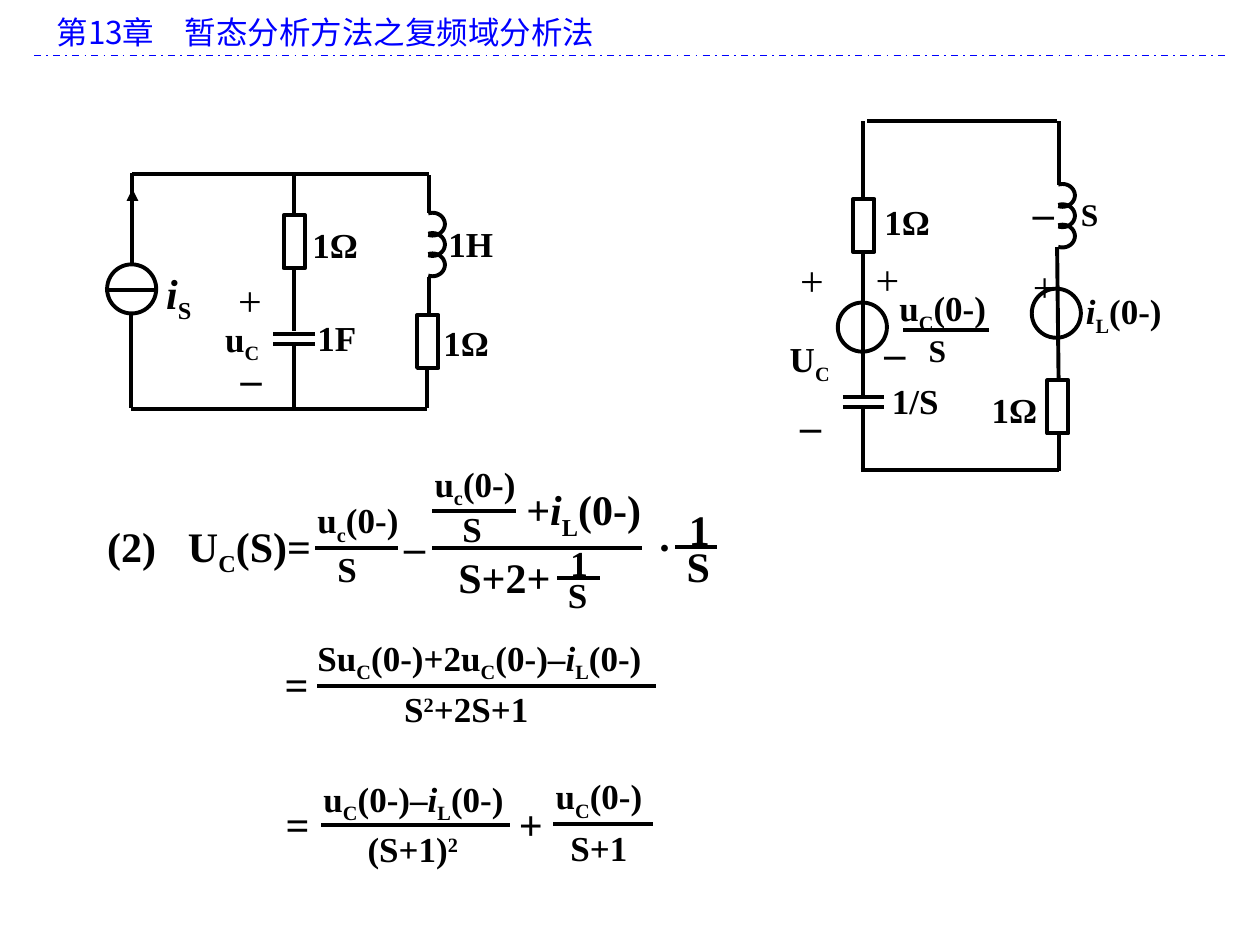
"""Build a slide of two circuits and the solution for the capacitor voltage."""
from dataclasses import dataclass
from math import cos, radians, sin

from lxml import etree
from pptx import Presentation
from pptx.dml.color import RGBColor
from pptx.enum import dml, shapes, text
from pptx.oxml import ns
from pptx.util import Cm, Pt


@dataclass(frozen=True)
class Theme:
    ink: str = "000000"
    blue: str = "0000FF"
    serif: str = "Times New Roman"
    sans: str = "Noto Sans CJK SC"
    big: int = 24
    mid: int = 20
    low: int = 18
    thick: float = 2.25
    thin: float = 1


T = Theme()
TALL = {T.big: 1.27, T.mid: 1.09, T.low: 1.02}
SHIFT = {"_": "-25000", "^": "30000"}

FIRST = [
    (2.67, 3.49, 2.67, 5.36), (2.64, 6.3, 2.64, 8.23),
    (2.67, 3.51, 8.64, 3.51), (2.64, 8.25, 8.61, 8.25),
    (5.92, 3.51, 5.92, 4.34), (5.92, 5.41, 5.92, 6.68),
    (5.92, 6.96, 5.92, 8.23), (8.64, 3.53, 8.64, 4.29),
    (8.64, 5.59, 8.64, 6.35), (8.61, 7.42, 8.61, 8.23),
    (2.11, 5.84, 3.18, 5.84),
]
SECOND = [
    (17.4, 2.44, 17.4, 4.06), (17.4, 5.08, 17.4, 8),
    (17.4, 8.2, 17.4, 9.47), (21.34, 2.44, 21.34, 3.73),
    (21.31, 4.98, 21.34, 7.67), (21.34, 8.74, 21.34, 9.5),
    (17.48, 2.44, 21.31, 2.44), (17.35, 9.47, 21.34, 9.47),
]
BARS = [
    (18.21, 19.94, 6.65), (13.61, 14.45, 11.02), (6.35, 8.03, 11.05),
    (8.71, 10.41, 10.31), (11.23, 12.09, 11.66), (8.71, 12.95, 11.05),
    (6.4, 13.23, 13.82), (6.48, 10.29, 16.64), (11.15, 13.16, 16.61),
]
LABELS = [
    (6.05, 4.39, 2.01, T.mid, "1Ω"), (8.79, 4.37, 1.8, T.mid, "1H"),
    (8.69, 6.35, 2.11, T.mid, "1Ω"), (6.15, 6.25, 1.91, T.mid, "1F"),
    (3.1, 5.26, 1.52, T.big, "~i|_S"), (4.29, 6.27, 1.3, T.mid, "u|_C"),
    (4.55, 5.41, 1, T.big, "!+"), (4.6, 6.99, 1, T.big, "–"),
    (21.64, 5.72, 2.11, T.mid, "~i|_L|(0-)"),
    (17.58, 3.91, 2.01, T.mid, "1Ω"), (15.67, 6.68, 1.4, T.mid, "U|_C"),
    (15.88, 5, 1, T.big, "!+"), (17.58, 6.45, 1, T.big, "–"),
    (20.57, 5.13, 1, T.big, "!+"), (20.57, 3.63, 1, T.big, "–"),
    (21.54, 3.81, 0.9, T.low, "S"), (17.88, 5.66, 2.4, T.mid, "u|_C|(0-)"),
    (18.47, 6.55, 0.9, T.low, "S"), (17.4, 4.98, 1, T.big, "!+"),
    (15.88, 7.92, 1, T.big, "–"), (19.74, 7.7, 2.01, T.mid, "1Ω"),
    (17.73, 7.52, 2.59, T.mid, "1/S"),
]
TERMS = [
    (13.59, 10.77, 1, T.big, "S"), (13.64, 10.03, 1, T.big, "1"),
    (6.15, 9.93, 3, T.mid, "u|_c|(0-)"), (6.55, 10.92, 1.32, T.mid, "S"),
    (8.51, 9.19, 3, T.mid, "u|_c|(0-)"), (9.07, 10.11, 1.32, T.mid, "S"),
    (10.36, 9.63, 3, T.big, "+|~i|_L|(0-)"),
    (11.2, 11.43, 0.93, T.mid, "S"), (11.25, 10.8, 0.9, T.mid, "1"),
    (8.99, 11, 3.48, T.big, "S+2+"),
    (6.15, 12.7, 8.51, T.mid, "Su|_C|(0-)+2u|_C|(0-)–|~i|_L|(0-)"),
    (7.9, 13.74, 4.22, T.mid, "S|^2|+2S+1"),
    (5.49, 13.16, 1, T.big, "="),
    (6.27, 15.54, 4.9, T.mid, "u|_C|(0-)–|~i|_L|(0-)"),
    (7.16, 16.56, 3.63, T.mid, "(S+1)|^2"),
    (10.95, 15.49, 3.61, T.mid, "u|_C|(0-)"),
    (11.25, 16.54, 2.64, T.mid, "S+1"),
]


def tint(name):
    return RGBColor.from_string(name)


def stops(para, spots):
    tabs = etree.SubElement(para._p.get_or_add_pPr(), ns.qn("a:tabLst"))
    for spot in spots:
        tab = etree.SubElement(tabs, ns.qn("a:tab"))
        tab.set("pos", str(Cm(spot)))
        tab.set("algn", "l")


def label(slide, x, y, wide, size, words, spots=(), face=T.serif, hue=T.ink):
    """Prefix of each part: _ sub, ^ super, ~ italic, ! light."""
    box = slide.shapes.add_textbox(Cm(x), Cm(y), Cm(wide), Cm(TALL[size]))
    frame = box.text_frame
    frame.word_wrap = True
    frame.auto_size = text.MSO_AUTO_SIZE.NONE
    para = frame.paragraphs[0]
    if spots:
        stops(para, spots)
    for part in words.split("|"):
        mark = part[0] if part[0] in "_^~!" else ""
        run = para.add_run()
        run.text = part[len(mark):]
        font = run.font
        font.name, font.size = face, Pt(size)
        font.color.rgb = tint(hue)
        font.bold = mark != "!"
        font.italic = mark == "~"
        props = font._element
        if mark in SHIFT:
            props.set("baseline", SHIFT[mark])
        east = etree.Element(ns.qn("a:ea"), typeface=face)
        props.find(ns.qn("a:latin")).addnext(east)


def wire(slide, x, y, end, base, hue=T.ink, width=T.thick):
    line = slide.shapes.add_connector(
        shapes.MSO_CONNECTOR.STRAIGHT, Cm(x), Cm(y), Cm(end), Cm(base))
    line.line.color.rgb = tint(hue)
    line.line.width = Pt(width)
    etree.SubElement(line._element.spPr, ns.qn("a:effectLst"))
    return line


def arrow(slide, *ends):
    line = wire(slide, *ends).line
    etree.SubElement(line._get_or_add_ln(), ns.qn("a:tailEnd"), type="triangle")


def outline(shape):
    shape.shadow.inherit = False
    shape.fill.background()
    shape.line.color.rgb = tint(T.ink)
    shape.line.width = Pt(T.thick)


def part(slide, kind, x, y, wide, tall):
    outline(slide.shapes.add_shape(kind, Cm(x), Cm(y), Cm(wide), Cm(tall)))


def ohm(slide, x, y):
    part(slide, shapes.MSO_SHAPE.RECTANGLE, x, y, 0.43, 1.07)


def source(slide, x, y):
    part(slide, shapes.MSO_SHAPE.OVAL, x, y, 0.99, 0.99)


def plates(slide, x, y):
    for row in (y, y + 0.2):
        wire(slide, x - 0.42, row, x + 0.42, row)


def coil(slide, x, y):
    for turn in range(3):
        mid = y + 0.41 * turn
        dots = [(Cm(x + 0.08 + 0.25 * cos(radians(a))),
                 Cm(mid + 0.23 * sin(radians(a))))
                for a in range(-110, 111, 10)]
        path = slide.shapes.build_freeform(*dots[0])
        path.add_line_segments(dots[1:], close=False)
        outline(path.convert_to_shape())


def head(slide):
    label(slide, 0.89, 0.13, 23.8, T.low, "!第13章\t暂态分析方法之复频域分析法",
          (2.59,), T.sans, T.blue)
    rule = wire(slide, 0.69, 1.12, 24.69, 1.12, T.blue, T.thin)
    rule.line.dash_style = dml.MSO_LINE.DASH_DOT


def main():
    deck = Presentation()
    deck.slide_width, deck.slide_height = Cm(25.4), Cm(19.05)
    slide = deck.slides.add_slide(deck.slide_layouts[6])
    head(slide)
    for ends in FIRST + SECOND:
        wire(slide, *ends)
    for x, end, y in BARS:
        wire(slide, x, y, end, y)
    arrow(slide, 2.67, 4.88, 2.67, 3.81)
    for spot in ((5.72, 4.34), (8.41, 6.35), (17.2, 4.01), (21.11, 7.67)):
        ohm(slide, *spot)
    for spot in ((2.16, 5.33), (16.89, 6.1), (20.8, 5.82)):
        source(slide, *spot)
    for spot in ((5.93, 6.73), (17.41, 8)):
        plates(slide, *spot)
    for spot in ((8.64, 4.52), (21.34, 3.94)):
        coil(slide, *spot)
    for item in LABELS + TERMS:
        label(slide, *item)
    label(slide, 1.91, 10.36, 13.54, T.big, "(2)\tU|_C|(S)=\t–\t·",
          (1.63, 5.99, 11.1))
    label(slide, 5.51, 15.98, 6.35, T.big, "=\t+", (4.7,))
    deck.save("out.pptx")


if __name__ == "__main__":
    main()
